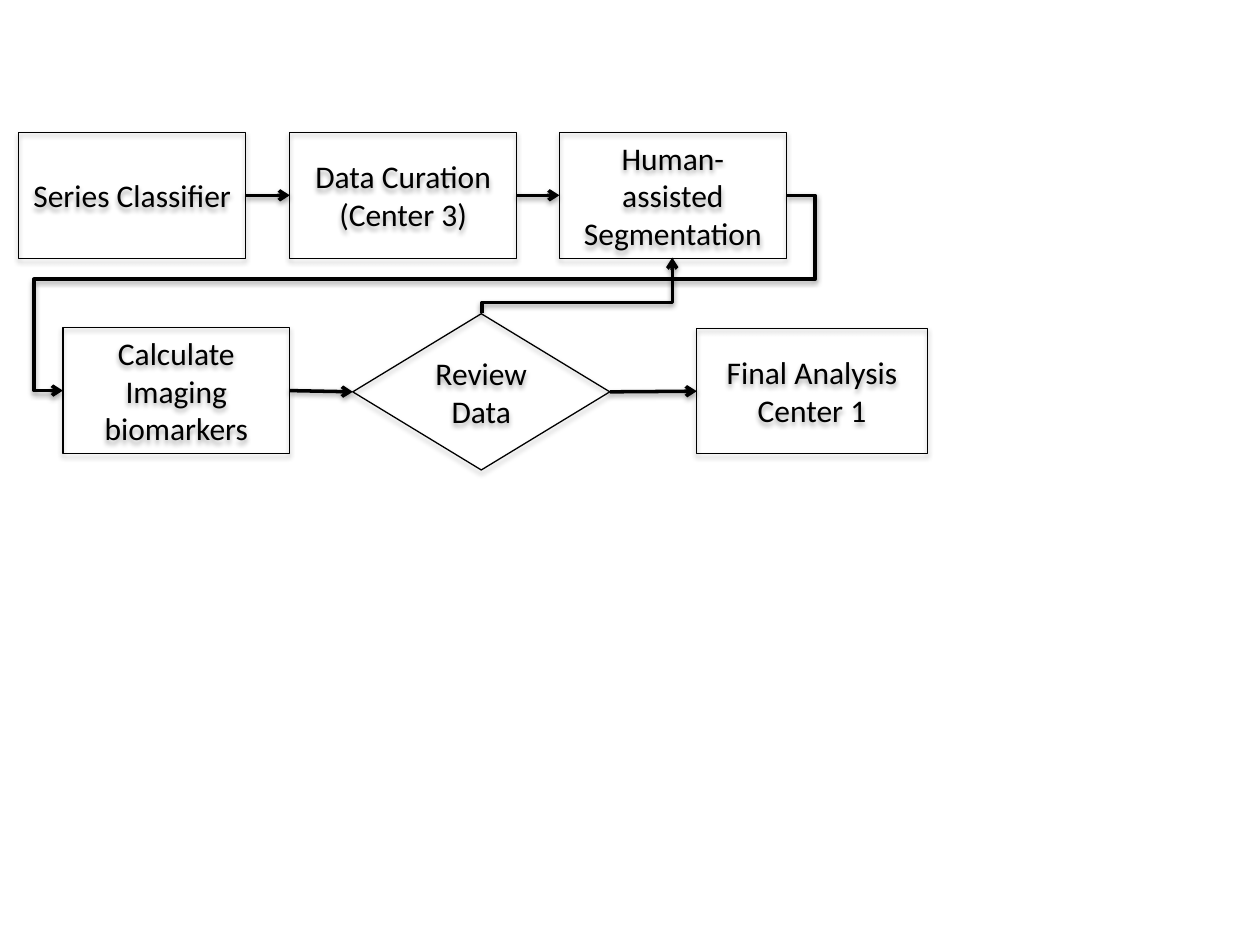
from lxml import etree
from pptx import Presentation
from pptx import util as u
from pptx.dml.color import RGBColor
from pptx.enum import shapes, text
from pptx.oxml.ns import qn

BLACK = RGBColor(0, 0, 0)
TOP, LEFT, BOTTOM, RIGHT = range(4)  # connection sites of a node


class Flowchart:
    font_name = "Calibri"
    font_size = u.Pt(18)
    node_line = u.Pt(0.75)
    arrow_line = u.Pt(2)

    def __init__(self, slide):
        self.slide = slide

    def add_shadow(self, shape, distance, opacity):
        effects = etree.SubElement(shape._element.spPr, qn("a:effectLst"))
        shadow = etree.SubElement(
            effects, qn("a:outerShdw"), blurRad=str(u.Pt(3.1)),
            dist=str(u.Pt(distance)), dir="5400000", rotWithShape="0")
        color = etree.SubElement(shadow, qn("a:srgbClr"), val=str(BLACK))
        etree.SubElement(color, qn("a:alpha"), val=str(opacity * 1000))

    def node(self, label, left, top, width=1.8, height=1.0,
             kind=shapes.MSO_SHAPE.RECTANGLE):
        shape = self.slide.shapes.add_shape(
            kind, *map(u.Inches, (left, top, width, height)))
        shape.fill.background()
        shape.line.color.rgb = BLACK
        shape.line.width = self.node_line
        self.add_shadow(shape, 1.8, 35)

        frame = shape.text_frame
        frame.word_wrap = True
        frame.vertical_anchor = text.MSO_ANCHOR.MIDDLE
        frame.text = label
        paragraph = frame.paragraphs[0]
        paragraph.alignment = text.PP_ALIGN.CENTER
        font = paragraph.runs[0].font
        font.name, font.size = self.font_name, self.font_size
        font.color.rgb = BLACK
        return shape

    def line(self, kind, start, end):
        connector = self.slide.shapes.add_connector(
            kind, *map(u.Inches, start + end))
        connector.line.color.rgb = BLACK
        connector.line.width = self.arrow_line
        etree.SubElement(connector.line._get_or_add_ln(),
                         qn("a:tailEnd"), type="arrow")
        self.add_shadow(connector, 1.6, 38)
        return connector

    def arrow(self, source, target):
        connector = self.line(shapes.MSO_CONNECTOR.STRAIGHT, (0, 0), (1, 1))
        connector.begin_connect(source, RIGHT)
        connector.end_connect(target, LEFT)

    def elbow(self, start, end, preset, bends, rotation=0):
        """Bends are fractions of the way along the connector's own box."""
        connector = self.line(shapes.MSO_CONNECTOR.ELBOW, start, end)
        properties = connector._element.spPr
        if rotation:
            properties.find(qn("a:xfrm")).set("rot", str(rotation * 60000))
        geometry = properties.find(qn("a:prstGeom"))
        geometry.set("prst", preset)
        guides = geometry.find(qn("a:avLst"))
        for number, bend in enumerate(bends, 1):
            name = "adj" if len(bends) == 1 and preset == "bentConnector2" else f"adj{number}"
            etree.SubElement(guides, qn("a:gd"), name=name,
                             fmla=f"val {round(bend * 100000)}")


def main():
    presentation = Presentation()
    presentation.slide_width = u.Inches(10)
    presentation.slide_height = u.Inches(7.5)
    slide = presentation.slides.add_slide(presentation.slide_layouts[6])
    chart = Flowchart(slide)

    # Upper row: preparing the data
    classifier, curation, segmentation = [
        chart.node(label, left, 1.05) for label, left in (
            ("Series Classifier", 0.15),
            ("Data Curation (Center 3)", 2.3),
            ("Human-assisted Segmentation", 4.44))]

    # Lower row: measuring and reviewing
    biomarkers = chart.node("Calculate Imaging biomarkers", 0.5, 2.6)
    review = chart.node("Review Data", 2.8, 2.49, 2.04, 1.24,
                        shapes.MSO_SHAPE.DIAMOND)
    analysis = chart.node("Final Analysis Center 1", 5.53, 2.61, 1.83, 0.99)

    # Straight steps
    for source, target in ((classifier, curation), (curation, segmentation),
                           (biomarkers, review), (review, analysis)):
        chart.arrow(source, target)

    # Segmentation on to the lower row, and review back to segmentation
    chart.elbow((6.24, 1.55), (0.5, 3.1), "bentConnector5",
                (-0.04, 0.43, 1.04))
    chart.elbow((4.8, 3.02), (4.36, 1.51), "bentConnector3", (0.19,),
                rotation=90)

    presentation.save("out.pptx")


if __name__ == "__main__":
    main()
